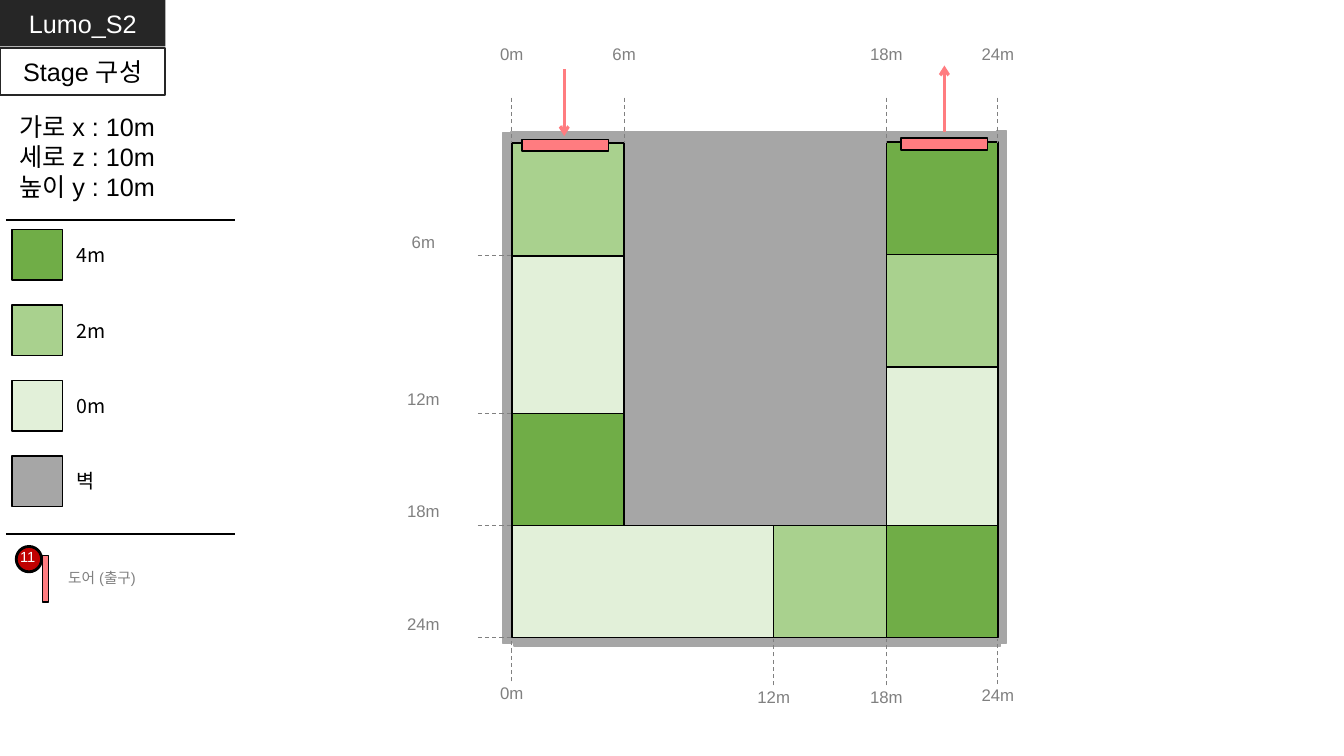
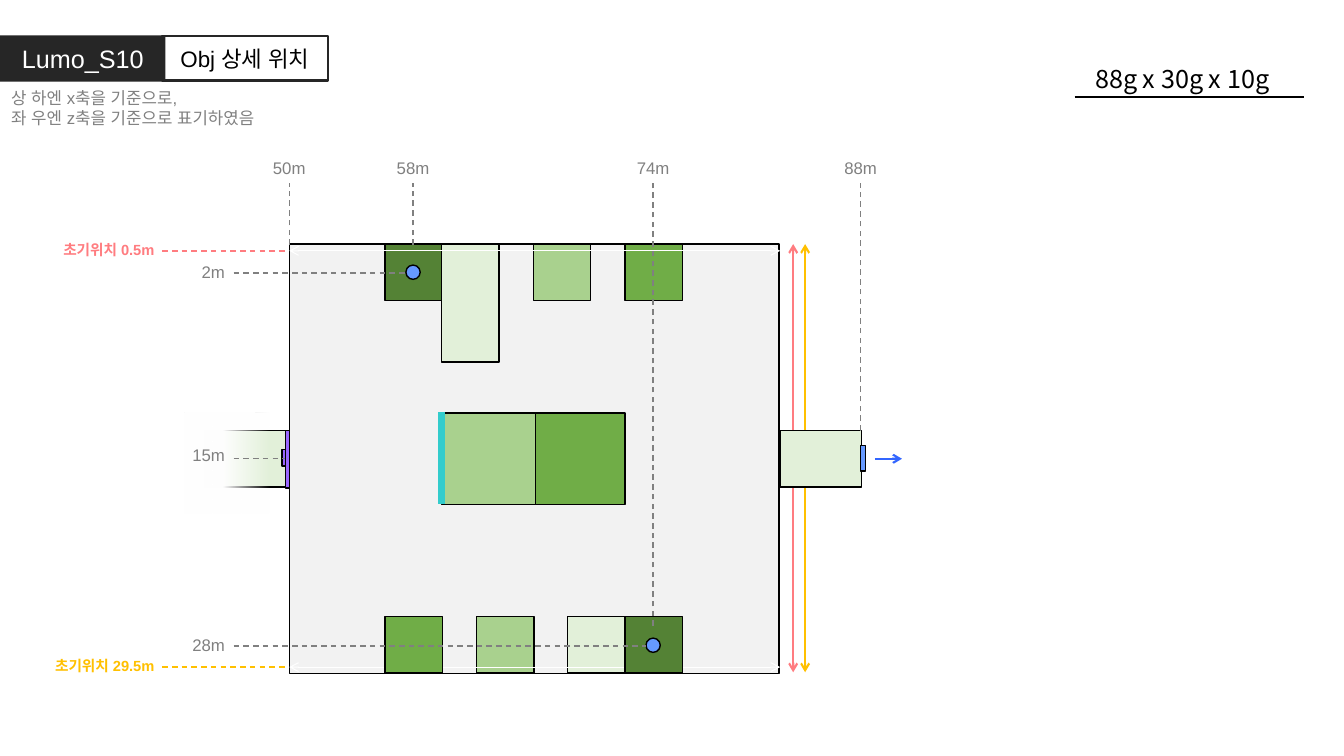
from dataclasses import dataclass
from itertools import pairwise

from lxml.etree import SubElement
from pptx import Presentation
from pptx.dml.color import RGBColor
from pptx.enum.dml import MSO_LINE
from pptx.enum.shapes import MSO_CONNECTOR, MSO_SHAPE
from pptx.enum.text import MSO_ANCHOR, PP_ALIGN
from pptx.oxml.ns import qn
from pptx.shapes.autoshape import Shape
from pptx.slide import Slide
from pptx.text.text import TextFrame
from pptx.util import Cm, Pt


@dataclass(frozen=True)
class Theme:
    ink: str = "000000"
    white: str = "FFFFFF"
    dark: str = "262626"
    gray: str = "808080"
    wall: str = "A6A6A6"
    floor: str = "F2F2F2"
    deep: str = "548235"
    high: str = "70AD47"
    mid: str = "A9D18E"
    low: str = "E2F0D9"
    coral: str = "FF7C80"
    gold: str = "FFC000"
    red: str = "C00000"
    blue: str = "6699FF"
    arrow: str = "3366FF"
    purple: str = "9966FF"
    teal: str = "33CCCC"
    font: str = "Arial"
    noto: str = "Noto Sans CJK KR"
    title: float = 18
    sub: float = 16
    key: float = 14
    label: float = 12
    small: float = 10.5


T = Theme()


@dataclass(frozen=True)
class Block:
    x: float
    y: float
    w: float
    h: float
    fill: str | None
    edge: str | None = T.ink
    width: float = 1
    kind: MSO_SHAPE = MSO_SHAPE.RECTANGLE


@dataclass(frozen=True)
class Line:
    x: float
    y: float
    to_x: float
    to_y: float
    color: str = T.gray
    width: float = 1
    dash: bool = False
    head: bool = False
    tail: bool = False


def write(frame: TextFrame, text: str, *, size: float = T.label, color: str = T.gray,
          align: PP_ALIGN = PP_ALIGN.CENTER, bold: bool = False,
          font: str = T.font, wrap: bool = True) -> None:
    frame.word_wrap = wrap
    for i, part in enumerate(text.split("\n")):
        para = frame.add_paragraph() if i else frame.paragraphs[0]
        para.alignment = align
        run = para.add_run()
        run.text = part
        run.font.size = Pt(size)
        run.font.bold = bold
        run.font.name = font
        run.font.color.rgb = RGBColor.from_string(color)
        SubElement(run.font._element, qn("a:ea"), typeface=font)


def label(slide: Slide, text: str, x: float, y: float, w: float, h: float = 0.76,
          **style) -> None:
    box = slide.shapes.add_textbox(Cm(x), Cm(y), Cm(w), Cm(h))
    write(box.text_frame, text, **style)


def draw(slide: Slide, block: Block) -> Shape:
    shape = slide.shapes.add_shape(
        block.kind, Cm(block.x), Cm(block.y), Cm(block.w), Cm(block.h))
    shape.shadow.inherit = False
    if block.fill:
        shape.fill.solid()
        shape.fill.fore_color.rgb = RGBColor.from_string(block.fill)
    else:
        shape.fill.background()
    if block.edge:
        shape.line.color.rgb = RGBColor.from_string(block.edge)
        shape.line.width = Pt(block.width)
    else:
        shape.line.fill.background()
    return shape


def stroke(slide: Slide, line: Line) -> None:
    link = slide.shapes.add_connector(
        MSO_CONNECTOR.STRAIGHT, Cm(line.x), Cm(line.y), Cm(line.to_x), Cm(line.to_y))
    link.line.color.rgb = RGBColor.from_string(line.color)
    link.line.width = Pt(line.width)
    if line.dash:
        link.line.dash_style = MSO_LINE.DASH
    props = link.element.spPr
    for tag, on in (("a:headEnd", line.head), ("a:tailEnd", line.tail)):
        if on:
            SubElement(props.find(qn("a:ln")), qn(tag), type="arrow")
    SubElement(props, qn("a:effectLst"))


def tag(slide: Slide, text: str, block: Block, color: str, size: float = T.title) -> None:
    frame = draw(slide, block).text_frame
    frame.vertical_anchor = MSO_ANCHOR.MIDDLE
    write(frame, text, color=color, size=size)


def name(slide: Slide, text: str, y: float) -> None:
    tag(slide, text, Block(0, y, 4.17, 1.17, T.dark, None), T.white)


def fade(slide: Slide, block: Block) -> None:
    shape = draw(slide, block)
    shape.fill.gradient()
    shape.fill.gradient_angle = 180
    for stop, place in zip(shape.fill.gradient_stops, (0, 0.55)):
        stop.position = place
        stop.color.rgb = RGBColor.from_string(T.white)
    first = next(shape.element.spPr.iter(qn("a:srgbClr")))
    SubElement(first, qn("a:alpha"), val="0")


def legend(slide: Slide) -> None:
    label(slide, "가로 x : 10m\n세로 z : 10m\n높이 y : 10m", 0.23, 2.67, 5.59, 2.57,
          size=T.title, color=T.ink, align=PP_ALIGN.LEFT)
    for y in (5.54, 13.46):
        stroke(slide, Line(0.15, y, 5.92, y, T.ink))
    keys = (("4m", T.high), ("2m", T.mid), ("0m", T.low), ("벽", T.wall))
    for i, (text, fill) in enumerate(keys):
        y = 5.79 + 1.9 * i
        draw(slide, Block(0.3, y, 1.27, 1.27, fill))
        label(slide, text, 1.68, y + 0.21, 1.8, 0.84, size=T.key, color=T.ink,
              align=PP_ALIGN.LEFT, font=T.noto)
    label(slide, "도어 (출구)", 1.47, 14.2, 4.01, 0.71, size=T.small,
          align=PP_ALIGN.LEFT)
    draw(slide, Block(0.41, 13.77, 0.64, 0.64, T.red, width=2, kind=MSO_SHAPE.OVAL))
    label(slide, "11", 0.23, 13.69, 0.94, 0.71, size=T.small, color=T.white, wrap=False)
    draw(slide, Block(1.07, 14, 0.15, 1.17, T.coral))


def stage(slide: Slide) -> None:
    walls = ((15.72, 3.63, 6.63, 9.6), (12.95, 16.03, 12.27, 0.25),
             (12.67, 3.35, 0.23, 12.85), (25.12, 3.3, 0.25, 12.9),
             (12.88, 3.33, 12.27, 0.46))
    for wall in walls:
        draw(slide, Block(*wall, T.wall, T.wall))

    left, inner, half, right, end = 12.9, 15.73, 19.5, 22.34, 25.15
    base, foot = 13.24, 16.07
    rows = (3.6, 6.45, 10.42, base)
    columns = ((left, inner, rows, (T.mid, T.low, T.high)),
               (right, end, (3.58, 6.42, 9.25, base), (T.high, T.mid, T.low)))
    for x, edge, marks, fills in columns:
        for (top, low), fill in zip(pairwise(marks), fills):
            draw(slide, Block(x, top, edge - x, low - top, fill))
    for (x, edge), fill in zip(pairwise((left, half, right, end)),
                               (T.low, T.mid, T.high)):
        draw(slide, Block(x, base, edge - x, foot - base, fill))

    above = (("0m", left), ("6m", inner), ("18m", right), ("24m", end))
    below = (("0m", left, 17.07), ("12m", half, 17.17),
             ("18m", right, 17.17), ("24m", end, 17.14))
    ticks = [(text, x, 0.99, 2.46, 3.6) for text, x in above]
    ticks += [(text, x, y, y + 0.1, 16.1) for text, x, y in below]
    for text, x, y, start, stop in ticks:
        label(slide, text, x - 2.32, y, 4.64)
        stroke(slide, Line(x, start, x, stop, width=0.75, dash=True))
    for text, y in zip(("6m", "12m", "18m", "24m"), (*rows[1:], foot)):
        label(slide, text, 9.5, y - 0.74, 2.34)
        stroke(slide, Line(12.04, y, 12.88, y, width=0.75, dash=True))

    for x, y, mid, start, stop in ((13.16, 3.51, 14.22, 1.75, 3.43),
                                   (22.71, 3.48, 23.8, 3.33, 1.65)):
        draw(slide, Block(x, y, 2.18, 0.3, T.coral))
        stroke(slide, Line(mid, start, mid, stop, T.coral, 2.25, tail=True))


def hall(slide: Slide) -> None:
    draw(slide, Block(7.29, 6.15, 12.34, 10.82, T.floor))
    draw(slide, Block(5.16, 10.85, 2.06, 1.42, T.low))
    fade(slide, Block(4.65, 10.39, 2.13, 2.54, T.white, None))
    draw(slide, Block(7.11, 11.33, 0.1, 0.41, T.purple))
    draw(slide, Block(7.19, 10.85, 0.1, 1.45, T.purple))

    top, foot, side, deep = 6.15, 15.54, 1.45, 1.42
    crates = ((9.7, top, deep, T.deep), (11.13, top, 2.97, T.low),
              (13.44, top, deep, T.mid), (15.75, top, deep, T.high),
              (12.01, foot, deep, T.mid), (14.3, foot, deep, T.low))
    for x, y, h, fill in crates:
        draw(slide, Block(x, y, side, h, fill))
    draw(slide, Block(11.13, 10.41, 2.36, 2.31, T.mid))
    draw(slide, Block(13.49, 10.41, 2.26, 2.31, T.high))
    for y in (6.32, 16.81):
        stroke(slide, Line(7.29, y, 19.66, y, T.white, 0.75, head=True, tail=True))
    for x, fill in ((9.7, T.high), (15.75, T.deep)):
        draw(slide, Block(x, foot, side, deep, fill))
    for x, color in ((20.29, T.gold), (19.99, T.coral)):
        stroke(slide, Line(x, 16.94, x, 6.15, color, 1.5, head=True, tail=True))
    draw(slide, Block(19.66, 10.85, 2.06, 1.42, T.low))
    stroke(slide, Line(22.05, 11.56, 22.73, 11.56, T.arrow, 1.5, tail=True))
    draw(slide, Block(21.69, 11.23, 0.13, 0.64, T.blue))
    for x, y in ((10.23, 6.68), (16.28, 16.08)):
        draw(slide, Block(x, y, 0.36, 0.36, T.blue, kind=MSO_SHAPE.OVAL))
    stroke(slide, Line(11.13, 10.39, 11.13, 12.7, T.teal, 4.5))


def guides(slide: Slide) -> None:
    for text, x, stop in (("50m", 7.29, 6.17), ("58m", 10.41, 6.17),
                          ("74m", 16.46, 15.77), ("88m", 21.69, 10.85)):
        label(slide, text, x - 0.74, 3.86, 1.48)
        stroke(slide, Line(x, stop, x, 4.62, dash=True))
    for text, y, mark, stop in (("2m", 6.48, 6.88, 10.21), ("28m", 15.88, 16.28, 16.28),
                                ("15m", 11.07, 11.56, 7.19)):
        label(slide, text, 4.45, y, 1.47, align=PP_ALIGN.RIGHT)
        stroke(slide, Line(5.89, mark, stop, mark, dash=True))
    for text, y, color in (("초기위치 0.5m", 6.32, T.coral),
                           ("초기위치 29.5m", 16.81, T.gold)):
        label(slide, text, 0.56, y - 0.38, 3.58, 0.74, size=T.small, color=color,
              align=PP_ALIGN.RIGHT, bold=True)
        stroke(slide, Line(4.09, y, 7.19, y, color, dash=True))


def main() -> None:
    deck = Presentation()
    deck.slide_width, deck.slide_height = Cm(33.87), Cm(19.05)
    blank = deck.slide_layouts[6]

    plan = deck.slides.add_slide(blank)
    stage(plan)
    name(plan, "Lumo_S2", 0)
    tag(plan, "Stage 구성", Block(0, 1.22, 4.17, 1.17, T.white, T.dark, 1.5), T.ink)
    legend(plan)

    detail = deck.slides.add_slide(blank)
    name(detail, "Lumo_S10", 0.89)
    hall(detail)
    tag(detail, "Obj 상세 위치", Block(4.09, 0.91, 4.17, 1.12, None, T.dark, 1.5),
        T.ink, T.sub)
    guides(detail)
    label(detail, "상 하엔 x축을 기준으로,\n좌 우엔 z축을 기준으로 표기하였음",
          0.03, 2.08, 8.03, 1.27, align=PP_ALIGN.LEFT)
    stroke(detail, Line(27.08, 2.44, 32.87, 2.44, T.ink))
    label(detail, "88g x 30g x 10g", 27, 1.47, 5.59, 1.02, size=T.title, color=T.ink,
          font=T.noto)

    deck.save("out.pptx")


if __name__ == "__main__":
    main()
